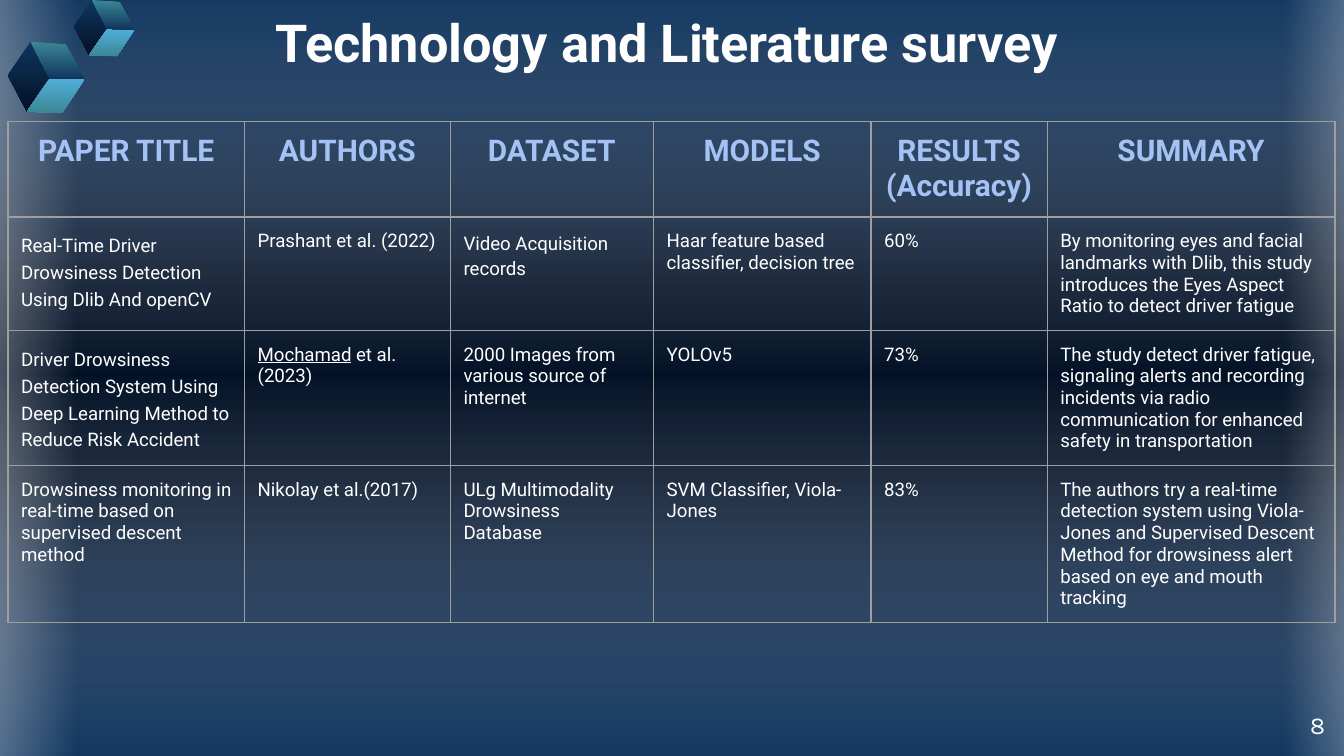
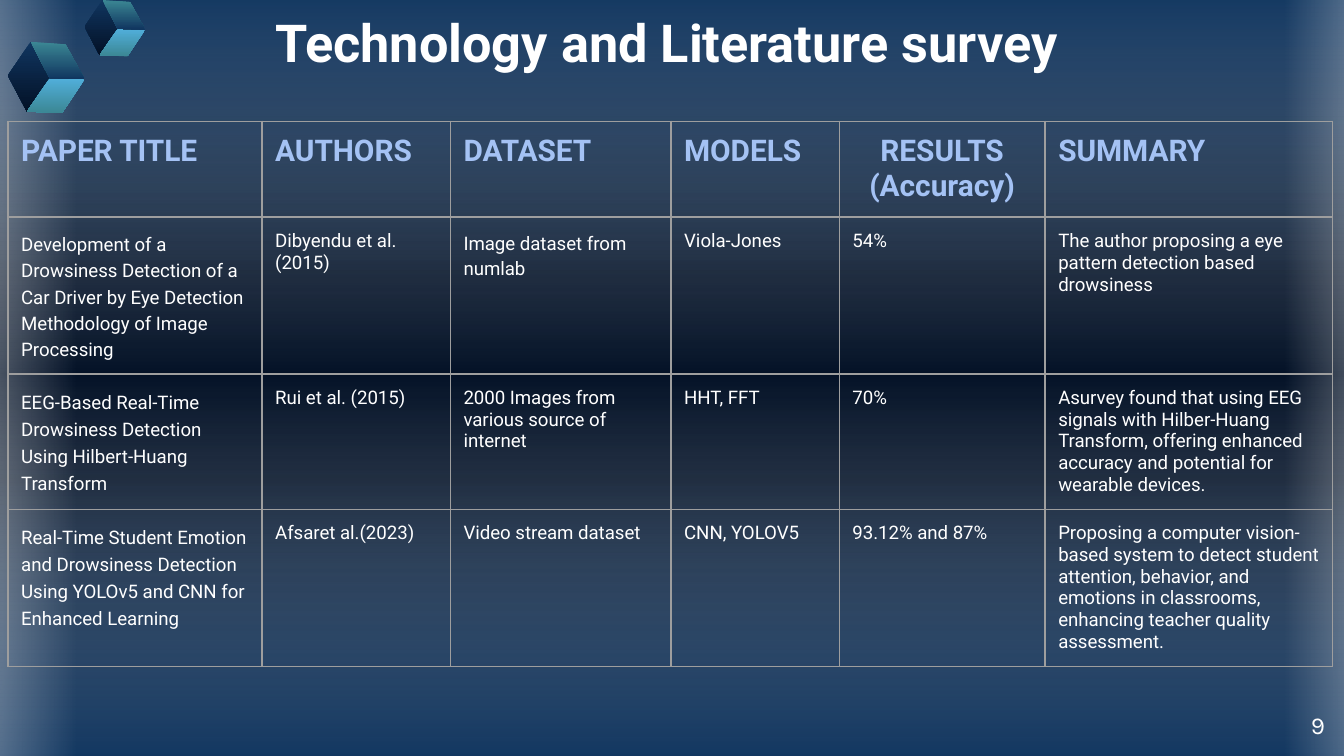
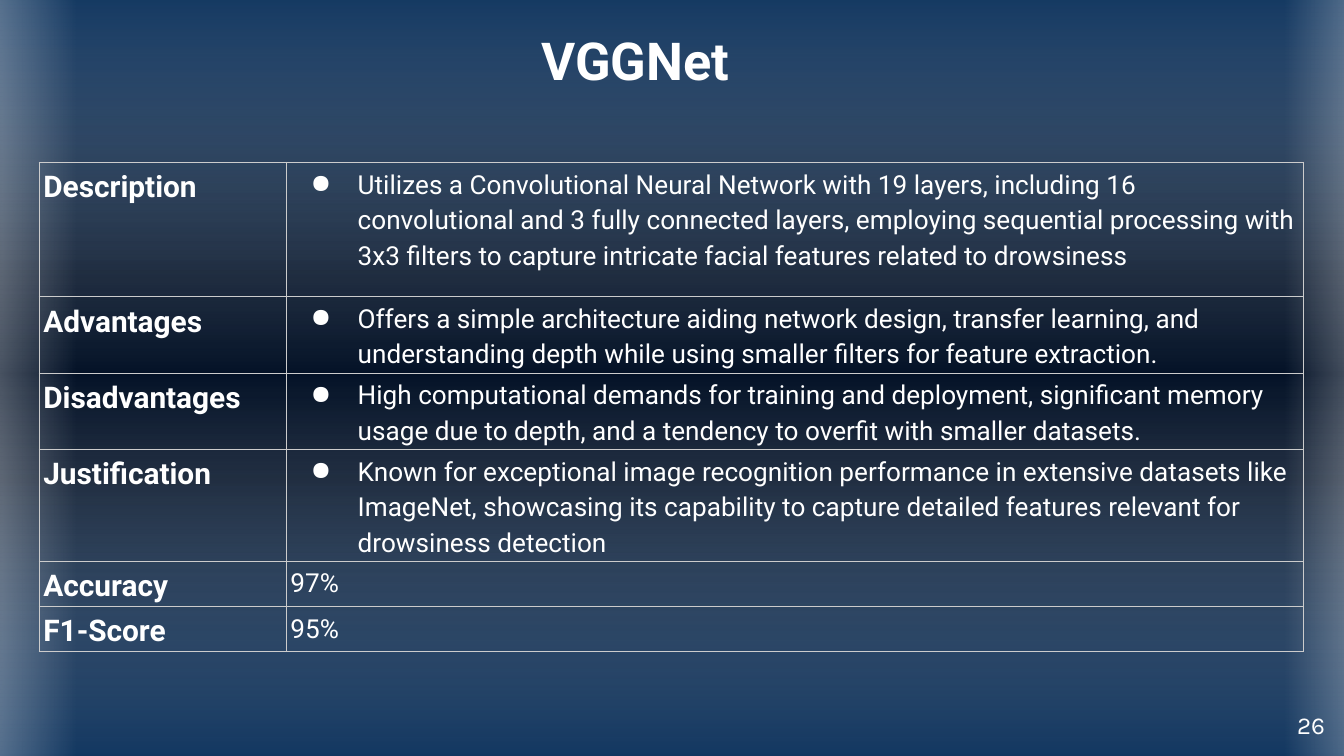
from lxml import etree
from pptx import Presentation
from pptx.dml.color import RGBColor
from pptx.enum import shapes, text
from pptx.oxml.ns import qn
from pptx.util import Cm, Pt

# Content
HEAD = ["PAPER TITLE", "AUTHORS", "DATASET", "MODELS", "RESULTS (Accuracy)", "SUMMARY"]
SURVEY = "Technology and Literature survey"

# A tuple marks a cell whose first part is underlined
EARLY = [
    HEAD,
    ["Real-Time Driver Drowsiness Detection Using Dlib And openCV",
     "Prashant et al. (2022)",
     "Video Acquisition records",
     "Haar feature based classifier, decision tree",
     "60%",
     "By monitoring eyes and facial landmarks with Dlib, this study introduces "
     "the Eyes Aspect Ratio to detect driver fatigue"],
    ["Driver Drowsiness Detection System Using Deep Learning Method to Reduce Risk Accident",
     ("Mochamad", " et al. (2023)"),
     "2000 Images from various source of internet",
     "YOLOv5",
     "73%",
     "The study detect driver fatigue, signaling alerts and recording incidents "
     "via radio communication for enhanced safety in transportation"],
    ["Drowsiness monitoring in real-time based on supervised descent method",
     "Nikolay et al.(2017)",
     "ULg Multimodality Drowsiness Database",
     "SVM Classifier, Viola-Jones",
     "83%",
     "The authors try a real-time detection system using Viola-Jones and Supervised "
     "Descent Method for drowsiness alert based on eye and mouth tracking"],
]
LATER = [
    HEAD,
    ["Development of a Drowsiness Detection of a Car Driver by Eye Detection "
     "Methodology of Image Processing",
     "Dibyendu et al. (2015)",
     "Image dataset from numlab",
     "Viola-Jones",
     "54%",
     "The author proposing a eye pattern detection based drowsiness"],
    ["EEG-Based Real-Time Drowsiness Detection Using Hilbert-Huang Transform",
     "Rui et al. (2015)",
     "2000 Images from various source of internet",
     "HHT, FFT",
     "70%",
     "Asurvey found that using EEG signals with Hilber-Huang Transform, offering "
     "enhanced accuracy and potential for wearable devices."],
    ["Real-Time Student Emotion and Drowsiness Detection Using YOLOv5 and CNN "
     "for Enhanced Learning",
     "Afsaret al.(2023)",
     "Video stream dataset",
     "CNN, YOLOV5",
     "93.12% and 87%",
     "Proposing a computer vision-based system to detect student attention, behavior, "
     "and emotions in classrooms, enhancing teacher quality assessment."],
]
MODEL = [
    ["Description",
     "Utilizes a Convolutional Neural Network with 19 layers, including 16 convolutional "
     "and 3 fully connected layers, employing sequential processing with 3x3 filters to "
     "capture intricate facial features related to drowsiness"],
    ["Advantages",
     "Offers a simple architecture aiding network design, transfer learning, and "
     "understanding depth while using smaller filters for feature extraction."],
    ["Disadvantages",
     "High computational demands for training and deployment, significant memory usage "
     "due to depth, and a tendency to overfit with smaller datasets."],
    ["Justification",
     "Known for exceptional image recognition performance in extensive datasets like "
     "ImageNet, showcasing its capability to capture detailed features relevant for "
     "drowsiness detection"],
    ["Accuracy", "97%"],
    ["F1-Score", "95%"],
]

# Slides: lengths in cm; "gaps" maps (row, column) to line spacing and points after
SLIDES = [
    dict(num=8, title=SURVEY, box=(4.95, -0.13, 16.36, 1.83), kind="survey", data=EARLY,
         at=(0.15, 2.29), cols=[4.47, 3.89, 3.84, 4.11, 3.33, 5.44],
         rows=[1.02, 2.13, 2.51, 2.95], mid=range(6), cubes=[(1.4, 0, 0.79), (0.15, 0.79, 1)],
         gaps={(1, 0): (1.24, 0), (2, 0): (1.24, 0), (1, 2): (1.15, 12)}),
    dict(num=9, title=SURVEY, box=(4.95, -0.13, 16.36, 1.83), kind="survey", data=LATER,
         at=(0.15, 2.29), cols=[4.8, 3.56, 4.17, 3.18, 3.89, 5.44],
         rows=[1.02, 2.13, 2.46, 2.95], mid=[4], cubes=[(0.15, 0.79, 1), (1.6, 0, 0.79)],
         gaps={(1, 0): (1.2, 0), (2, 0): (1.24, 0), (3, 0): (1.24, 0), (1, 2): (1.15, 12)}),
    dict(num=26, title="VGGNet", box=(9.98, 0.13, 4.5, 2.01), kind="model", data=MODEL,
         at=(0.74, 3.07), cols=[4.67, 19.23], rows=[2.54, 0.91, 1.32, 0.91, 0.56, 0.56],
         mid=[], cubes=[], gaps={}),
]


# Theme
class Theme:
    navy, night, white = "10355F", "031126", "FFFFFF"
    sky, teal, pale = "51AFDB", "3B8794", "A4C2F4"
    title = dict(name="Roboto", size=Pt(28), bold=True)
    head = dict(name="Roboto", size=Pt(16), bold=True)
    cell = dict(name="Roboto", size=Pt(10), bold=False)
    body = dict(name="Roboto", size=Pt(14), bold=False)
    page = dict(name="Karla", size=Pt(13))
    # Table kind: border colour, width, side and top cell margins
    grid = dict(survey=("9E9E9E", 0.75, 0.25, 0.25), model=("CCCCCC", 0.67, 0.08, 0.05))
    back = [(0, navy), (37, night), (63, night), (100, navy)]
    # Bands: place, turn, stops of position, colour and opacity
    edge = [(0, white, 47), (100, white, 0)]
    bands = [
        ((5.59, -5.92, 14.76, 25.93), 270, [(0, navy, 59), (50, white, 0), (100, navy, 59)]),
        ((-1.04, -0.23, 2.49, 14.73), 180, edge),
        ((24.28, -0.33, 2.16, 14.73), 0, edge),
    ]
    spot = (23.77, 13.18, 1.52, 1.09)


# Cube corners in cm, and the faces that join them
DOTS = dict(A=(0.43, 0), B=(0, 0.64), C=(0.36, 1.32), D=(0.79, 0.69),
            E=(1.45, 0.71), F=(1.02, 1.35), G=(1.09, 0.05))
FACES = [("ABCD", Theme.navy, Theme.night),
         ("DEFC", Theme.sky, Theme.teal),
         ("AGED", Theme.teal, Theme.navy)]


# Helpers
def put(obj, form):
    for key, val in form.items():
        setattr(obj, key, val)


def cms(vals):
    return [Cm(v) for v in vals]


def sub(node, tag, **attrs):
    return etree.SubElement(node, qn(tag), attrs)


def blend(fill, root, stops, turn):
    """Give a fill gradient stops, each with an optional opacity."""
    fill.gradient()
    grad = next(root.iter(qn("a:gradFill")))
    grad.find(qn("a:lin")).set("ang", str(turn * 60000))
    row = grad.find(qn("a:gsLst"))
    row.clear()
    for pos, tint, *clear in stops:
        stop = sub(row, "a:gs", pos=str(pos * 1000))
        rgb = sub(stop, "a:srgbClr", val=tint)
        for part in clear:
            sub(rgb, "a:alpha", val=str(part * 1000))


def plain(shape, stops, turn):
    blend(shape.fill, shape.element, stops, turn)
    shape.line.fill.background()
    shape.shadow.inherit = False


def write(para, words, form, tint=Theme.white):
    run = para.add_run()
    run.text = words
    put(run.font, form)
    run.font.color.rgb = RGBColor.from_string(tint)
    return run


def frame(shape):
    box = shape.text_frame
    put(box, dict(word_wrap=True, auto_size=text.MSO_AUTO_SIZE.NONE))
    put(box, dict.fromkeys(
        ["margin_left", "margin_right", "margin_top", "margin_bottom"], Cm(0.25)))
    return box


# Shared parts
def dress(deck, slide):
    """Put the background and the bands on the master."""
    base = deck.slide_master
    blend(base.background.fill, base.element, Theme.back, 90)
    for n, (box, turn, stops) in enumerate(Theme.bands):
        band = slide.shapes.add_shape(shapes.MSO_SHAPE.RECTANGLE, *cms(box))
        band.rotation = turn
        plain(band, stops, 180)
        band.element.nvSpPr.cNvPr.set("id", str(20 + n))
        base.shapes._spTree.insert(2 + n, band.element)


def cube(slide, left, top, size):
    group = slide.shapes.add_group_shape()
    for names, start, end in FACES:
        dots = [(Cm(left + size * DOTS[k][0]), Cm(top + size * DOTS[k][1])) for k in names]
        pen = group.shapes.build_freeform(*dots[0])
        pen.add_line_segments(dots[1:], close=True)
        plain(pen.convert_to_shape(), [(0, start), (100, end)], 90)


def border(cell, tint, width):
    cell.fill.background()
    prop = cell._tc.get_or_add_tcPr()
    for n, side in enumerate("LRTB"):
        line = sub(prop, "a:ln" + side, w=str(Pt(width)))
        sub(sub(line, "a:solidFill"), "a:srgbClr", val=tint)
        prop.insert(n, line)


def bullet(para):
    prop = para._p.get_or_add_pPr()
    prop.set("marL", str(Cm(1.27)))
    prop.set("indent", str(Cm(-0.89)))
    sub(sub(prop, "a:buClr"), "a:srgbClr", val=Theme.white)
    sub(prop, "a:buChar", char="●")


# Cell text by kind of table
def survey(para, words, r, c, page):
    if r == 0:
        para.alignment = text.PP_ALIGN.CENTER if c in page["mid"] else text.PP_ALIGN.LEFT
        write(para, words, Theme.head, Theme.pale)
        return
    if (r, c) in page["gaps"]:
        lines, after = page["gaps"][r, c]
        put(para, dict(line_spacing=lines, space_after=Pt(after)))
    if isinstance(words, tuple):
        mark, words = words
        write(para, mark, Theme.cell).font.underline = True
    write(para, words, Theme.cell)


def model(para, words, r, c, page):
    if c == 1 and r < 4:
        bullet(para)
    para.line_spacing = 1.15
    write(para, words, Theme.body if c else Theme.head)


def table(slide, page):
    data, cols, rows = page["data"], page["cols"], page["rows"]
    size = cms([*page["at"], sum(cols), sum(rows)])
    grid = slide.shapes.add_table(len(rows), len(cols), *size).table
    put(grid, dict(first_row=False, horz_banding=False))
    for col, wide in zip(grid.columns, cols):
        col.width = Cm(wide)
    for row, tall in zip(grid.rows, rows):
        row.height = Cm(tall)
    tint, width, side, top = Theme.grid[page["kind"]]
    fill = dict(survey=survey, model=model)[page["kind"]]
    for r, line in enumerate(data):
        for c, words in enumerate(line):
            cell = grid.cell(r, c)
            put(cell, dict(margin_left=Cm(side), margin_right=Cm(side),
                           margin_top=Cm(top), margin_bottom=Cm(top)))
            border(cell, tint, width)
            fill(cell.text_frame.paragraphs[0], words, r, c, page)


def build(slide, page):
    # Title
    title = slide.shapes.title
    put(title, dict(zip(["left", "top", "width", "height"], cms(page["box"]))))
    box = frame(title)
    box.vertical_anchor = text.MSO_ANCHOR.MIDDLE
    box.paragraphs[0].alignment = text.PP_ALIGN.LEFT
    write(box.paragraphs[0], page["title"], Theme.title)
    # Table and cubes
    table(slide, page)
    for place in page["cubes"]:
        cube(slide, *place)
    # Page number
    para = frame(slide.shapes.add_textbox(*cms(Theme.spot))).paragraphs[0]
    para.alignment = text.PP_ALIGN.RIGHT
    write(para, str(page["num"]), Theme.page)


def main():
    deck = Presentation()
    put(deck, dict(slide_width=Cm(25.4), slide_height=Cm(14.29)))
    for n, page in enumerate(SLIDES):
        slide = deck.slides.add_slide(deck.slide_layouts[5])
        if n == 0:
            dress(deck, slide)
        build(slide, page)
    deck.save("out.pptx")


if __name__ == "__main__":
    main()
